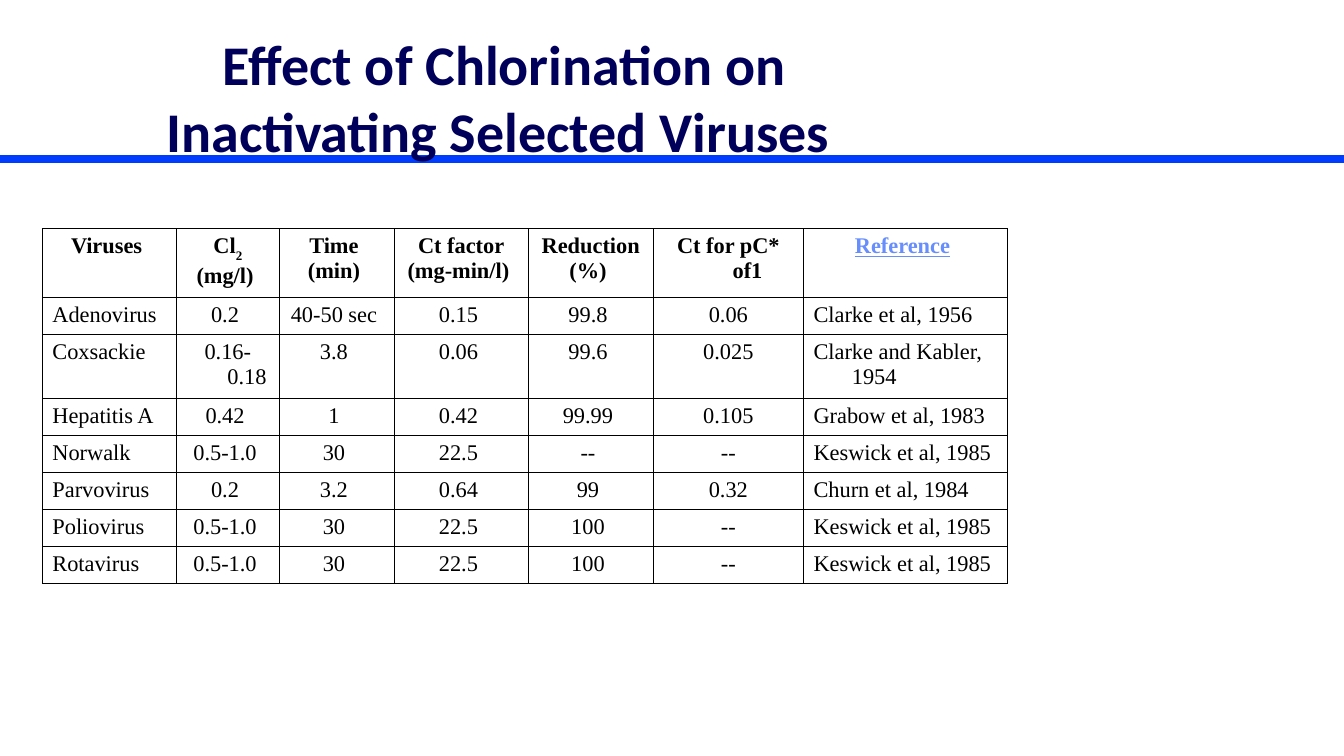
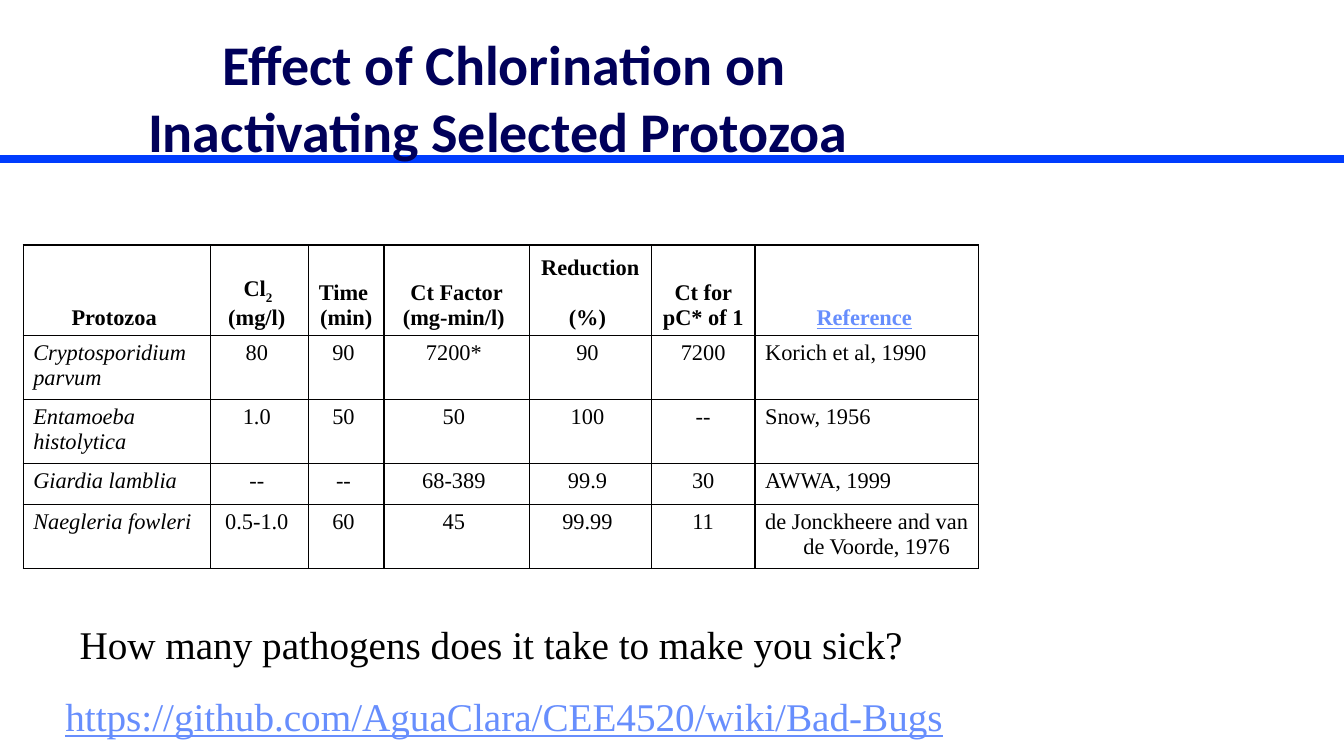
from copy import deepcopy
from dataclasses import dataclass

from lxml import etree
from pptx import Presentation
from pptx.dml.color import RGBColor
from pptx.enum.shapes import MSO_CONNECTOR
from pptx.enum.text import MSO_ANCHOR, PP_ALIGN
from pptx.oxml.ns import qn
from pptx.util import Emu, Inches, Pt

LEFT, CENTER = PP_ALIGN.LEFT, PP_ALIGN.CENTER
TOP, MIDDLE, BOTTOM = MSO_ANCHOR.TOP, MSO_ANCHOR.MIDDLE, MSO_ANCHOR.BOTTOM
STRAIGHT = MSO_CONNECTOR.STRAIGHT


@dataclass(frozen=True)
class Theme:
    title_font: str = "Calibri"
    body_font: str = "Times New Roman"
    title_color: str = "00005A"
    rule_color: str = "003CFE"
    text_color: str = "000000"
    link_color: str = "678EFD"
    cell_color: str = "FFFFFF"
    border_color: str = "010000"
    title_size: int = 40
    note_size: int = 28
    cell_size: int = 16
    rule_width: int = 6
    border_width: int = 1
    hang: float = 0.38


THEME = Theme()
TITLE_STYLE = {"name": THEME.title_font, "size": Pt(THEME.title_size),
               "bold": True, "color": THEME.title_color}
CELL_STYLE = {"name": THEME.body_font, "size": Pt(THEME.cell_size),
              "color": THEME.text_color}
NOTE_STYLE = {**CELL_STYLE, "size": Pt(THEME.note_size)}
HEAD_STYLE = {**CELL_STYLE, "bold": True}
LINK = {"color": THEME.link_color, "underline": True}
SUBSCRIPT = {"baseline": "-30000"}

SLIDE_SIZE = (13.33, 7.5)
RULE_Y = 1.58
TITLE_AREA = (0.75, 0.33, 8.5, 1.25)
MEASURES = range(1, 5)  # these columns end in a space that offsets the centring
REFERENCE = [("Reference", LINK), (" ", {})]

SLIDES = [
    {
        "title": "Effect of Chlorination on Inactivating Selected Viruses ",
        "origin": (0.42, 2.27),
        "columns": (1.33, 1.02, 1.14, 1.33, 1.24, 1.49, 2.02),
        "rows": (0.64, 0.34, 0.59, 0.34, 0.34, 0.34, 0.34, 0.34),
        "head_anchor": TOP,
        "head_hang": True,
        "name_style": {},
        "head": ["Viruses ", [("Cl", {}), ("2", SUBSCRIPT), (" (mg/l) ", {})],
                 "Time \n(min) ", "Ct factor\n(mg-min/l) ", "Reduction (%) ",
                 "Ct for pC* of1", REFERENCE],
        "body": [
            ("Adenovirus", "0.2", "40-50 sec", "0.15", "99.8", "0.06", "Clarke et al, 1956"),
            ("Coxsackie", "0.16-0.18", "3.8", "0.06", "99.6", "0.025",
             "Clarke and Kabler, 1954"),
            ("Hepatitis A", "0.42", "1", "0.42", "99.99", "0.105", "Grabow et al, 1983"),
            ("Norwalk", "0.5-1.0", "30", "22.5", "--", "--", "Keswick et al, 1985"),
            ("Parvovirus", "0.2", "3.2", "0.64", "99", "0.32", "Churn et al, 1984"),
            ("Poliovirus", "0.5-1.0", "30", "22.5", "100", "--", "Keswick et al, 1985"),
            ("Rotavirus", "0.5-1.0", "30", "22.5", "100", "--", "Keswick et al, 1985"),
        ],
        "notes": [],
    },
    {
        "title": "Effect of Chlorination on Inactivating Selected Protozoa ",
        "origin": (0.23, 2.43),
        "columns": (1.86, 0.97, 0.75, 1.44, 1.21, 1.03, 2.22),
        "rows": (0.84, 0.59, 0.59, 0.41, 0.59),
        "head_anchor": BOTTOM,
        "head_hang": False,
        "name_style": {"italic": True},
        "head": ["Protozoa ", [("Cl", {}), ("2 \n", SUBSCRIPT), ("(mg/l) ", {})],
                 "Time \n(min) ", "Ct Factor\n(mg-min/l) ", "Reduction \n(%) ",
                 "Ct for pC* of 1", REFERENCE],
        "body": [
            ("Cryptosporidium parvum", "80", "90", "7200*", "90", "7200",
             "Korich et al, 1990"),
            ("Entamoeba histolytica", "1.0", "50", "50", "100", "--", "Snow, 1956"),
            ("Giardia lamblia", "--", "--", "68-389", "99.9", "30", "AWWA, 1999"),
            ("Naegleria fowleri", "0.5-1.0", "60", "45", "99.99", "11",
             "de Jonckheere and van de Voorde, 1976"),
        ],
        "notes": [
            ("How many pathogens does it take to make you sick?",
             (0.69, 6.1, 8.45, 0.57), False, {}),
            ("https://github.com/AguaClara/CEE4520/wiki/Bad-Bugs",
             (0.55, 6.82, 9.17, 0.57), True, LINK),
        ],
    },
]


def style_span(span, style):
    for key, value in style.items():
        if key == "color":
            span.font.color.rgb = RGBColor.from_string(value)
        elif key == "baseline":
            span._r.get_or_add_rPr().set(key, value)
        else:
            setattr(span.font, key, value)


def write(para, content, style, align=LEFT, hang=False):
    """Write a string, or (text, style) pairs; a newline is a line break."""
    para.alignment = align
    if hang:
        properties = para._p.get_or_add_pPr()
        properties.set("marL", str(Inches(THEME.hang)))
        properties.set("indent", str(-Inches(THEME.hang)))
    pieces = [(content, {})] if isinstance(content, str) else content
    for text, extra in pieces:
        for index, line in enumerate(text.split("\n")):
            if index:
                para.add_line_break()
                para._p[-1].append(deepcopy(para.runs[-1]._r.rPr))
            if line:
                span = para.add_run()
                span.text = line
                style_span(span, {**style, **extra})


def add_text(page, text, area, style, align=LEFT, anchor=TOP, wrap=True):
    box = page.shapes.add_textbox(*map(Inches, area))
    box.text_frame.word_wrap = wrap
    box.text_frame.vertical_anchor = anchor
    write(box.text_frame.paragraphs[0], text, style, align)


def add_rule(page):
    y = Inches(RULE_Y)
    rule = page.shapes.add_connector(STRAIGHT, 0, y, Inches(SLIDE_SIZE[0]), y)
    rule.line.color.rgb = RGBColor.from_string(THEME.rule_color)
    rule.line.width = Pt(THEME.rule_width)
    etree.SubElement(rule._element.spPr, qn("a:effectLst"))


def frame_cell(cell):
    """Fill the cell and draw its four borders, which come before the fill."""
    properties = cell._tc.get_or_add_tcPr()
    for side in ("lnL", "lnR", "lnT", "lnB"):
        border = etree.SubElement(properties, qn(f"a:{side}"),
                                  w=str(Pt(THEME.border_width)))
        fill = etree.SubElement(border, qn("a:solidFill"))
        etree.SubElement(fill, qn("a:srgbClr"), val=THEME.border_color)
    cell.fill.solid()
    cell.fill.fore_color.rgb = RGBColor.from_string(THEME.cell_color)


def add_data_table(page, content):
    columns = [Inches(width) for width in content["columns"]]
    rows = [Inches(height) for height in content["rows"]]
    left, top = map(Inches, content["origin"])
    table = page.shapes.add_table(len(rows), len(columns), left, top,
                                  Emu(sum(columns)), Emu(sum(rows))).table
    for column, width in zip(table.columns, columns):
        column.width = width
    for row, height in zip(table.rows, rows):
        row.height = height

    last = len(columns) - 1
    for r, values in enumerate([content["head"], *content["body"]]):
        for c, value in enumerate(values):
            cell = table.cell(r, c)
            frame_cell(cell)
            para = cell.text_frame.paragraphs[0]
            if r == 0:
                cell.vertical_anchor = content["head_anchor"]
                hang = content["head_hang"] and c == last - 1
                write(para, value, HEAD_STYLE, CENTER, hang)
            elif c == 0:
                write(para, value, {**CELL_STYLE, **content["name_style"]})
            else:
                text = value + " " if c in MEASURES else value
                write(para, text, CELL_STYLE, LEFT if c == last else CENTER, hang=True)


def main():
    deck = Presentation()
    deck.slide_width, deck.slide_height = map(Inches, SLIDE_SIZE)
    for content in SLIDES:
        page = deck.slides.add_slide(deck.slide_layouts[6])
        add_rule(page)
        add_text(page, content["title"], TITLE_AREA, TITLE_STYLE, CENTER, MIDDLE)
        add_data_table(page, content)
        for text, area, wrap, extra in content["notes"]:
            add_text(page, text, area, {**NOTE_STYLE, **extra}, wrap=wrap)
    deck.save("out.pptx")


if __name__ == "__main__":
    main()
